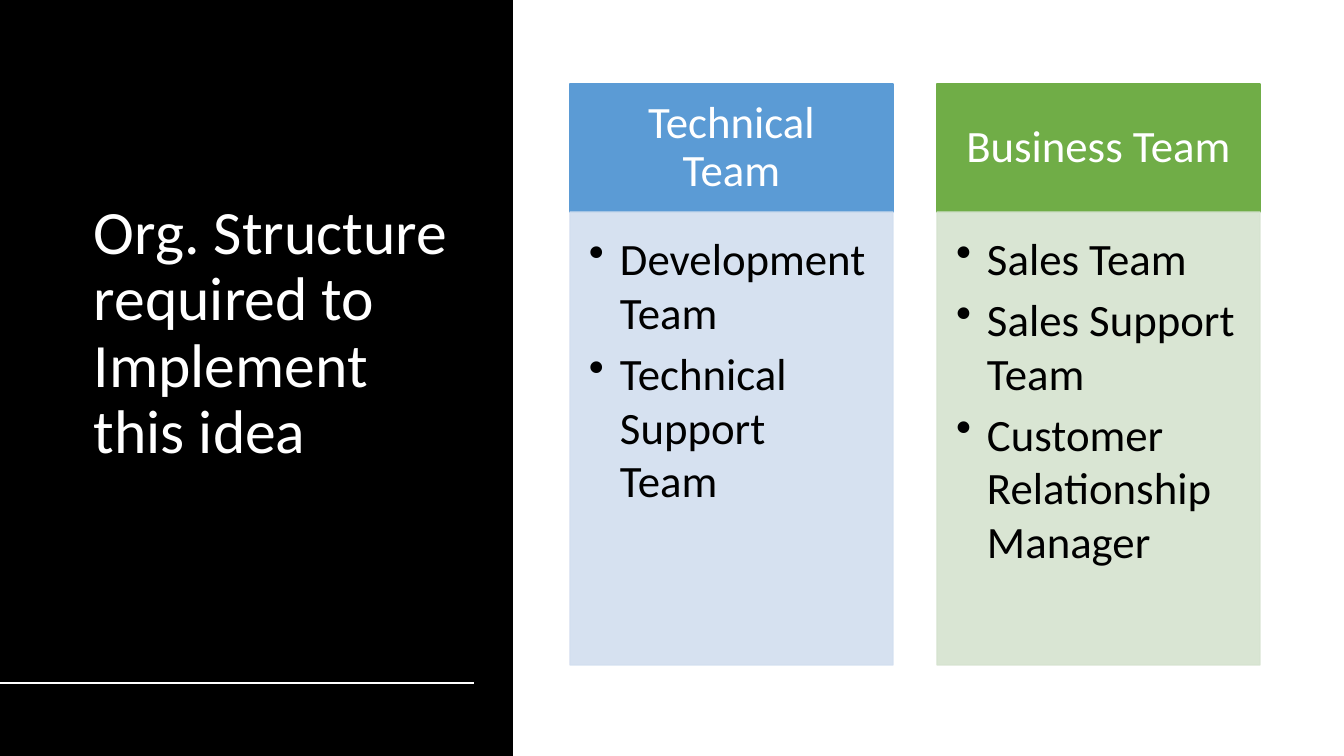
from lxml import etree
from pptx import Presentation, util as u
from pptx.dml.color import RGBColor
from pptx.enum import shapes, text
from pptx.oxml.ns import qn

PX = 914400 / 100.8


def px(n):
    return u.Emu(round(n * PX))


def rgb(hex_string):
    return RGBColor.from_string(hex_string)


prs = Presentation()
prs.slide_width, prs.slide_height = px(1344), px(756)
slide = prs.slides.add_slide(prs.slide_layouts[6])

# Black side panel
panel = slide.shapes.add_shape(shapes.MSO_SHAPE.RECTANGLE, 0, 0, px(513), px(756))
panel.shadow.inherit = False
panel.fill.solid()
panel.fill.fore_color.rgb = rgb("000000")
panel.line.fill.background()

# Title
title = slide.shapes.add_textbox(px(84), px(61), px(393), px(546)).text_frame
title.word_wrap = True
title.vertical_anchor = text.MSO_ANCHOR.MIDDLE
heading = title.paragraphs[0]
heading.text = "Org. Structure required to Implement this idea"
heading.line_spacing = 0.9
heading.font.name, heading.font.size = "Calibri", u.Pt(44)
heading.font.color.rgb = rgb("FFFFFF")

# Rule under the title
rule = slide.shapes.add_connector(shapes.MSO_CONNECTOR.STRAIGHT, 0, px(683), px(474), px(683))
rule.line.color.rgb = rgb("FFFFFF")
rule.line.width = u.Pt(2)
etree.SubElement(rule._element.spPr, qn("a:effectLst"))

# Team columns: a header above a list of roles
teams = [
    ("Technical Team", "5B9BD5", "D2DEEF", ["Development Team", "Technical Support Team"]),
    ("Business Team", "70AD47", "D5E3CF",
     ["Sales Team", "Sales Support Team", "Customer Relationship Manager"]),
]
for column, (team, strong, pale, roles) in enumerate(teams):
    left = 570 + column * 367
    parts = [
        (84, 128, strong, [team], "FFFFFF", (25, 14, 25, 14)),
        (212, 453, pale, roles, "000000", (19, 19, 25, 28)),
    ]
    for top, height, color, lines, ink, insets in parts:
        is_list = lines is roles
        part = slide.shapes.add_shape(
            shapes.MSO_SHAPE.RECTANGLE, px(left), px(top), px(323), px(height))
        part.shadow.inherit = False
        part.fill.solid()
        part.fill.fore_color.rgb = rgb(color)
        part.line.color.rgb = rgb(color)
        part.line.width = u.Pt(1)
        if is_list:  # 90 % opaque fill and outline
            for clr in part._element.spPr.iter(qn("a:srgbClr")):
                etree.SubElement(clr, qn("a:alpha"), val="90000")

        frame = part.text_frame
        frame.word_wrap = True
        frame.margin_left, frame.margin_top, frame.margin_right, frame.margin_bottom = map(px, insets)
        frame.vertical_anchor = text.MSO_ANCHOR.TOP if is_list else text.MSO_ANCHOR.MIDDLE
        frame.text = "\n".join(lines)
        for para in frame.paragraphs:
            para.font.name, para.font.size = "Calibri", u.Pt(32)
            para.font.color.rgb = rgb(ink)
            if is_list:
                para.alignment = text.PP_ALIGN.LEFT
                para.level = 1
                para.space_after = u.Pt(5)
                pPr = para._p.get_or_add_pPr()
                pPr.set("marL", str(px(31)))
                pPr.set("indent", str(px(-31)))
                bullet = etree.Element(qn("a:buChar"), char="•")
                pPr.find(qn("a:defRPr")).addprevious(bullet)
            else:
                para.alignment = text.PP_ALIGN.CENTER
                para.line_spacing = 0.9

prs.save("out.pptx")
